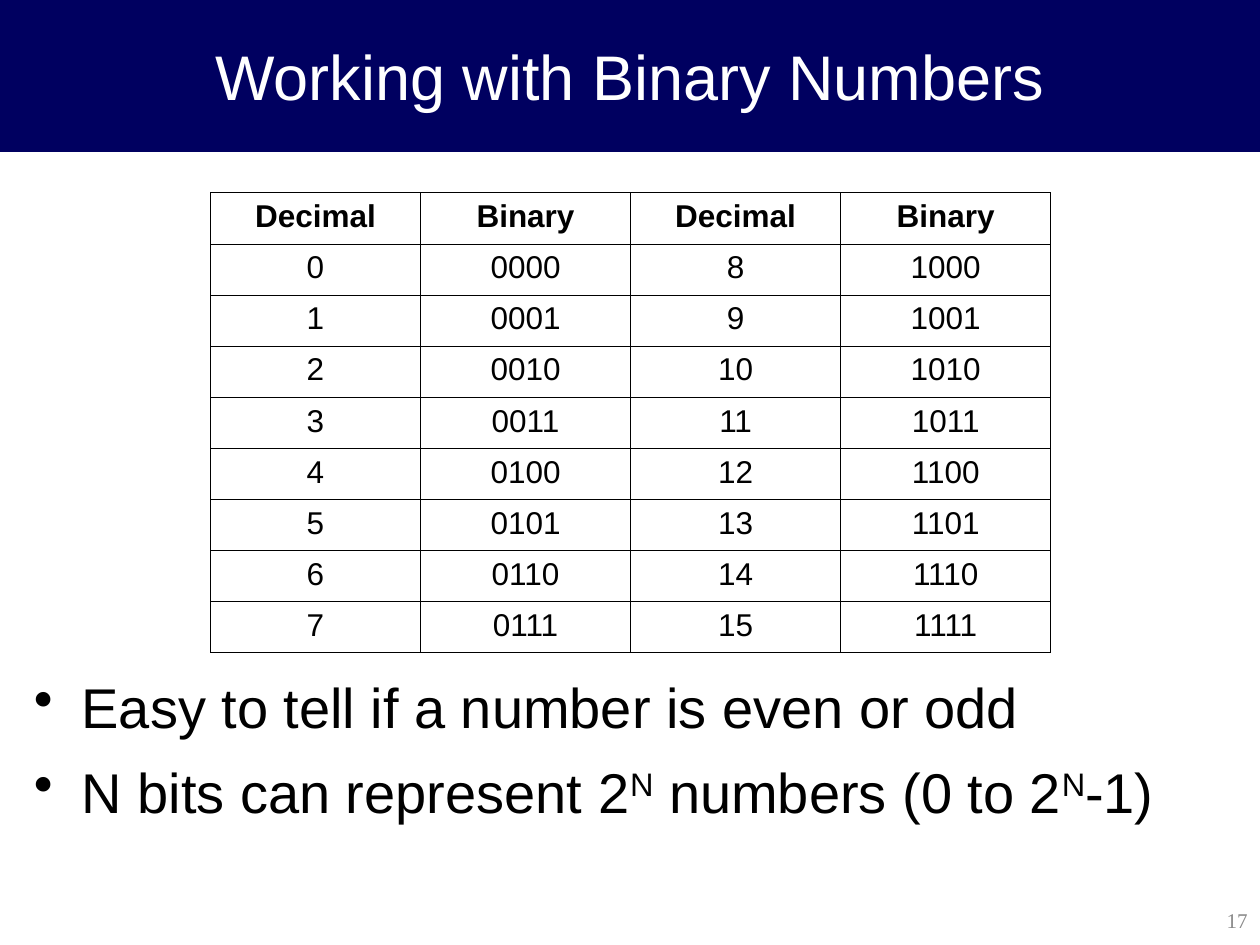
from lxml import etree
from pptx import Presentation
from pptx.dml.color import RGBColor
from pptx.enum.shapes import MSO_SHAPE
from pptx.enum.text import MSO_ANCHOR, PP_ALIGN
from pptx.oxml.ns import qn
from pptx.util import Inches, Pt

RECTANGLE = MSO_SHAPE.RECTANGLE
MIDDLE = MSO_ANCHOR.MIDDLE
LEFT, CENTER, RIGHT = PP_ALIGN.LEFT, PP_ALIGN.CENTER, PP_ALIGN.RIGHT

TITLE = "Working with Binary Numbers"
HEADERS = ["Decimal", "Binary"] * 2
NUMBERS = [
    [str(low), f"{low:04b}", str(low + 8), f"{low + 8:04b}"] for low in range(8)
]
BULLETS = [
    [("Easy to tell if a number is even or odd", False)],
    [
        ("N bits can represent 2", False),
        ("N", True),
        (" numbers (0 to 2", False),
        ("N", True),
        ("-1)", False),
    ],
]
PAGE_NUMBER = "17"
NAVY, WHITE, BLACK, GRAY = "000060", "FFFFFF", "000000", "898989"
TABLE_LEFT, TABLE_TOP, TABLE_WIDTH, TABLE_HEIGHT = 1.67, 1.53, 6.67, 3.65


def color(value):
    return RGBColor.from_string(value)


def style(para, size, value, align=LEFT, name="Arial", bold=False):
    para.alignment = align
    para.font.size = Pt(size)
    para.font.name = name
    para.font.bold = bold
    para.font.color.rgb = color(value)


def add_bullet(para):
    props = para._p.get_or_add_pPr()
    props.set("marL", str(Inches(0.38)))
    props.set("indent", str(Inches(-0.38)))
    mark = etree.Element(qn("a:buChar"), char="•")
    props.insert_element_before(mark, "a:tabLst", "a:defRPr", "a:extLst")


def add_borders(cell):
    props = cell._tc.get_or_add_tcPr()
    for index, side in enumerate(("lnL", "lnR", "lnT", "lnB")):
        line = etree.Element(qn(f"a:{side}"), w=str(Pt(0.45)))
        fill = etree.SubElement(line, qn("a:solidFill"))
        etree.SubElement(fill, qn("a:srgbClr"), val=BLACK)
        props.insert(index, line)


def add_banner(page):
    banner = page.shapes.add_shape(RECTANGLE, 0, 0, Inches(10), Inches(1.2))
    banner.shadow.inherit = False
    banner.fill.solid()
    banner.fill.fore_color.rgb = color(NAVY)
    banner.line.color.rgb = color(NAVY)
    banner.line.width = Pt(0.75)
    banner.text_frame.vertical_anchor = MIDDLE
    para = banner.text_frame.paragraphs[0]
    para.text = TITLE
    style(para, 36, WHITE, CENTER)


def add_number_table(page):
    rows = [HEADERS] + NUMBERS
    frame = page.shapes.add_table(
        len(rows), len(HEADERS), Inches(TABLE_LEFT), Inches(TABLE_TOP),
        Inches(TABLE_WIDTH), Inches(TABLE_HEIGHT),
    )
    table = frame.table
    table.horz_banding = False
    for row_index, row in enumerate(rows):
        for column_index, value in enumerate(row):
            cell = table.cell(row_index, column_index)
            cell.fill.background()
            add_borders(cell)
            para = cell.text_frame.paragraphs[0]
            para.text = value
            style(para, 18, BLACK, CENTER, bold=row_index == 0)


def add_bullets(page):
    box = page.shapes.add_textbox(
        Inches(0.17), Inches(5.29), Inches(9.66), Inches(1.81)
    )
    frame = box.text_frame
    frame.word_wrap = True
    for index, parts in enumerate(BULLETS):
        para = frame.add_paragraph() if index else frame.paragraphs[0]
        style(para, 32, BLACK)
        para.space_after = Pt(10)
        add_bullet(para)
        for text, raised in parts:
            span = para.add_run()
            span.text = text
            if raised:
                span._r.get_or_add_rPr().set("baseline", "30000")


def add_page_number(page):
    box = page.shapes.add_textbox(
        Inches(7.88), Inches(7.1), Inches(2.12), Inches(0.4)
    )
    box.text_frame.word_wrap = True
    box.text_frame.vertical_anchor = MIDDLE
    para = box.text_frame.paragraphs[0]
    para.text = PAGE_NUMBER
    style(para, 12, GRAY, RIGHT, "Times New Roman")


def main():
    deck = Presentation()
    deck.slide_width, deck.slide_height = Inches(10), Inches(7.5)
    page = deck.slides.add_slide(deck.slide_layouts[6])
    add_banner(page)
    add_bullets(page)
    add_page_number(page)
    add_number_table(page)
    deck.save("out.pptx")


if __name__ == "__main__":
    main()
